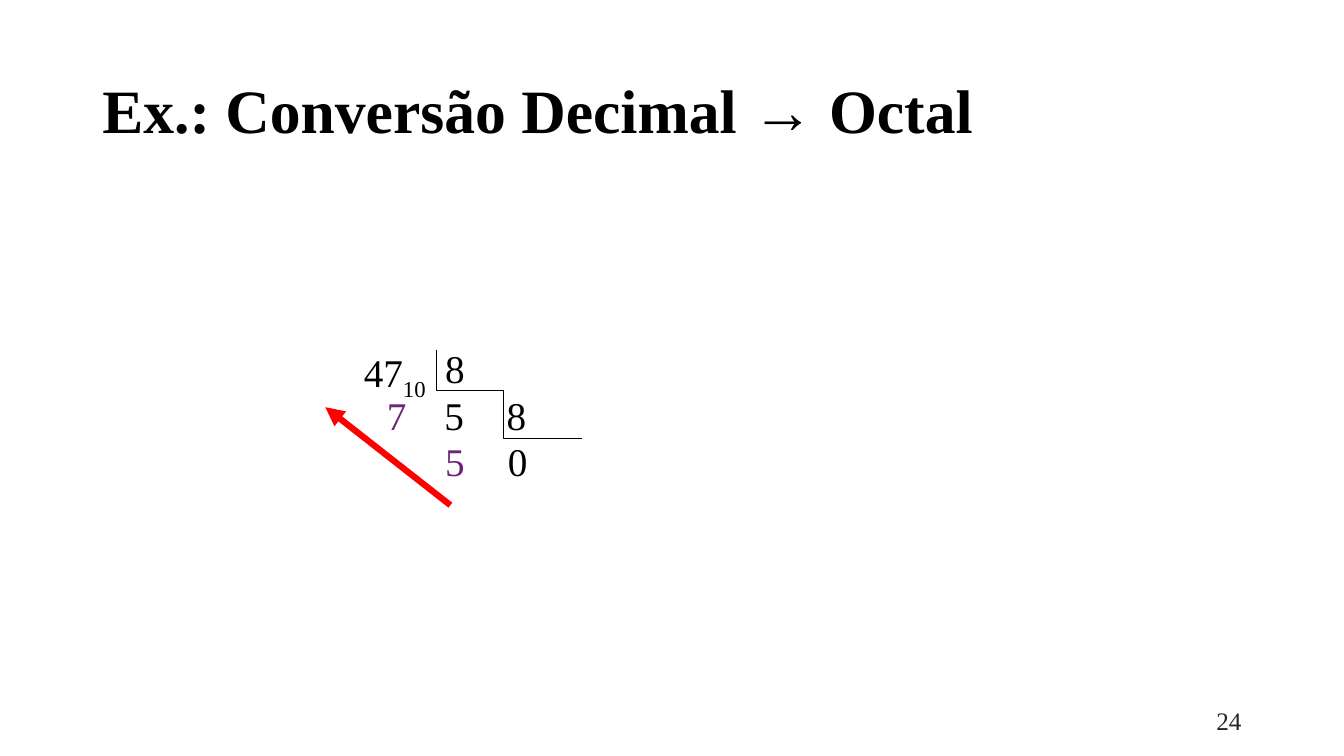
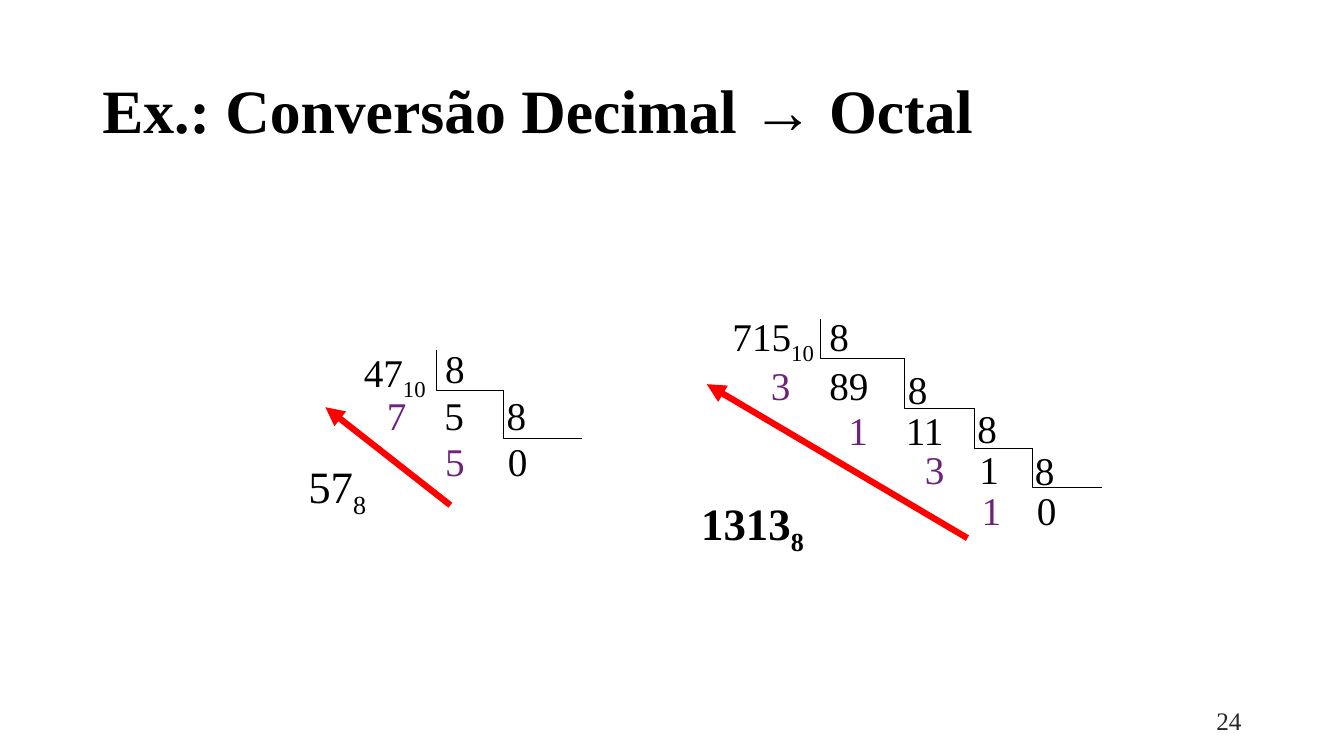
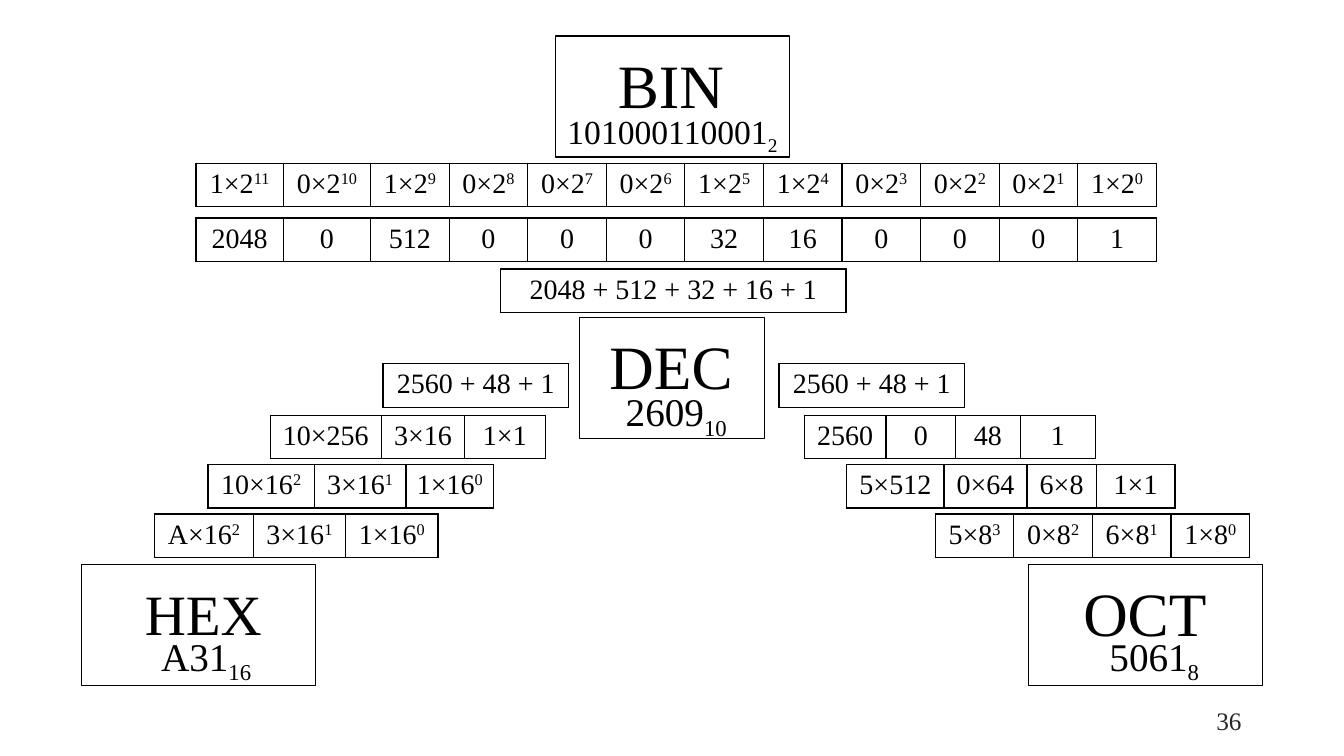
"""Build three slides on converting numbers between decimal, octal, binary and hexadecimal."""
from lxml.etree import SubElement
from pptx import Presentation
from pptx.dml.color import RGBColor
from pptx.enum.shapes import MSO_CONNECTOR as Connector, MSO_SHAPE as Shape
from pptx.enum.text import MSO_ANCHOR as Anchor, PP_ALIGN as Align
from pptx.oxml.ns import qn
from pptx.util import Cm, Pt

FONT = "Times New Roman"
BLACK, GREY, VIOLET, RED = "000000", "262626", "6F227C", "FF0000"
SUBSCRIPT, SUPERSCRIPT = "-25000", "30000"
NO_STYLE = "{2D5ABB26-0587-4C30-8999-92F81FD0307C}"
TITLE = "Ex.: Conversão Decimal → Octal"
ROW_HEIGHT, GAP_HEIGHT = 1.1, 0.28

DIVISIONS = [
    {
        "numbers": [("47|10", 8.92, 8.66), ("8", 10.97, 8.56), ("5", 10.95, 9.73),
                    ("8", 12.52, 9.73), ("0", 12.55, 10.9)],
        "remainders": [("7", 9.5, 9.73), ("5", 10.97, 10.9)],
        "stairs": [(11, 8.81), (12.7, 9.85), (14.68, 11.05)],
        "arrow": [(11.35, 12.73), (8.2, 10.26)],
        "result": ("57|8", 7.52, 11.43, False),
    },
    {
        "numbers": [("715|10", 18.21, 7.75), ("8", 20.65, 7.75), ("89", 20.65, 8.99),
                    ("8", 22.63, 9.07), ("11", 22.58, 10.11), ("8", 24.38, 10.06),
                    ("1", 24.43, 11.1), ("8", 25.83, 11.13), ("0", 25.88, 12.12)],
        "remainders": [("3", 19.18, 8.99), ("1", 21.13, 10.11), ("3", 23.06, 11.1),
                       ("1", 24.49, 12.12)],
        "stairs": [(20.68, 8.05), (22.8, 9.04), (24.56, 10.29), (26.01, 11.3), (27.76, 12.29)],
        "arrow": [(24.38, 13.56), (17.81, 9.68)],
        "result": ("1313|8", 17.42, 12.37, True),
    },
]

BASES = [
    ("BIN", 44, 15.32, "101000110001|2", 24, 14.05, 2.67, 14, 0.91, 5.89),
    ("HEX", 40.7, 3.4, "A31|16", 28, 3.81, 15.8, 2.06, 14.22, 5.89),
    ("OCT", 44, 27.05, "5061|8", 28, 27.71, 15.8, 25.93, 14.22, 5.89),
    ("DEC", 44, 15.11, "2609|10", 28, 15.52, 9.63, 14.61, 8, 4.65),
]

BITS = "101000110001"
POWERS = [f"{bit}×2|{11 - place}" for place, bit in enumerate(BITS)]
VALUES = [str(int(bit) * 2 ** (11 - place)) for place, bit in enumerate(BITS)]
TABLES = [
    (3.9, 12.95, [2.48, 2.33, 2.33], [["A×16|2", "3×16|1", "1×16|0"]]),
    (4.94, 4.11, [2.2] * 2 + [1.98] * 10, [POWERS, [], VALUES]),
    (12.62, 6.78, [8.7], [["2048 + 512 + 32 + 16 + 1"]]),
    (5.24, 11.7, [2.68, 2.31, 2.21], [["10×16|2", "3×16|1", "1×16|0"]]),
    (6.81, 10.46, [2.8, 2.1, 2.03], [["10×256", "3×16", "1×1"]]),
    (9.65, 9.16, [4.68], [["2560 + 48 + 1"]]),
    (23.57, 12.95, [1.98] * 4, [["5×8|3", "0×8|2", "6×8|1", "1×8|0"]]),
    (21.34, 11.7, [2.45, 2.09, 1.75, 1.98], [["5×512", "0×64", "6×8", "1×1"]]),
    (20.27, 10.46, [2.06, 1.75, 1.63, 1.9], [["2560", "0", "48", "1"]]),
    (19.63, 9.16, [4.68], [["2560 + 48 + 1"]]),
]


def write(text_frame, text, size, color=BLACK, shift=SUBSCRIPT, bold=False):
    """Write text whose part after a bar is raised or lowered."""
    paragraph = text_frame.paragraphs[0]
    for position, part in enumerate(text.split("|")):
        run = paragraph.add_run()
        run.text = part
        run.font.name = FONT
        run.font.size = Pt(size)
        run.font.bold = bold
        run.font.color.rgb = RGBColor.from_string(color)
        if position:
            run.font._element.set("baseline", shift)
    return paragraph


def add_text(slide, text, left, top, width, height, size, color=BLACK, bold=False,
             anchor=Anchor.TOP):
    """Add a text box and return its paragraph."""
    text_frame = slide.shapes.add_textbox(Cm(left), Cm(top), Cm(width), Cm(height)).text_frame
    text_frame.word_wrap = True
    text_frame.vertical_anchor = anchor
    return write(text_frame, text, size, color, bold=bold)


presentation = Presentation()
presentation.slide_width, presentation.slide_height = Cm(33.87), Cm(19.05)
blank_layout = presentation.slide_layouts[6]
slides = []
for number in ("24", "24", "36"):
    slide = presentation.slides.add_slide(blank_layout)
    paragraph = add_text(slide, number, 23.92, 17.66, 7.62, 1.01, 18, GREY, anchor=Anchor.MIDDLE)
    paragraph.alignment = Align.RIGHT
    slides.append(slide)

for slide, divisions in zip(slides, (DIVISIONS[:1], DIVISIONS)):
    title = add_text(slide, TITLE, 2.33, 1.02, 29.21, 3.68, 44, bold=True, anchor=Anchor.MIDDLE)
    title.line_spacing = 0.9
    for division in divisions:
        for kind, color in (("numbers", BLACK), ("remainders", VIOLET)):
            for text, left, top in division[kind]:
                add_text(slide, text, left, top, 3, 1.44, 28, color)
        stairs = division["stairs"]
        lines = [(Connector.ELBOW, *step, BLACK, 0.75) for step in zip(stairs, stairs[1:])]
        lines.append((Connector.STRAIGHT, *division["arrow"], RED, 4.5))
        for kind, start, end, color, width in lines:
            connector = slide.shapes.add_connector(kind, *map(Cm, start + end))
            connector.line.color.rgb = RGBColor.from_string(color)
            connector.line.width = Pt(width)
            properties = connector._element.spPr
            if kind == Connector.ELBOW:
                adjustments = properties.find(".//" + qn("a:avLst"))
                SubElement(adjustments, qn("a:gd"), name="adj1", fmla="val 0")
            else:
                SubElement(properties.find(qn("a:ln")), qn("a:tailEnd"), type="triangle")
            SubElement(properties, qn("a:effectLst"))
        if slide is slides[1]:
            text, left, top, bold = division["result"]
            add_text(slide, text, left, top, 3.3, 1.62, 32, bold=bold)

slide = slides[2]
for name, size, name_left, code, code_size, code_left, code_top, left, top, width in BASES:
    heading = add_text(slide, name, name_left, top, 3.8, 2.64, size, anchor=Anchor.MIDDLE)
    heading.line_spacing = 0.9
    add_text(slide, code, code_left, code_top, 6, 1.44, code_size)
    frame = slide.shapes.add_shape(Shape.RECTANGLE, Cm(left), Cm(top), Cm(width), Cm(3.05))
    frame.shadow.inherit = False
    frame.fill.background()
    frame.line.color.rgb = RGBColor.from_string(BLACK)
    frame.line.width = Pt(0.85)

for left, top, widths, rows in TABLES:
    heights = [ROW_HEIGHT if row else GAP_HEIGHT for row in rows]
    graphic = slide.shapes.add_table(len(rows), len(widths), Cm(left), Cm(top),
                                     Cm(sum(widths)), Cm(sum(heights)))
    table = graphic.table
    table.first_row = table.horz_banding = False
    table._tbl.tblPr.find(qn("a:tableStyleId")).text = NO_STYLE
    for column, width in zip(table.columns, widths):
        column.width = Cm(width)
    for row, height, texts in zip(table.rows, heights, rows):
        row.height = Cm(height)
        for position, cell in enumerate(row.cells):
            cell_properties = cell._tc.get_or_add_tcPr()
            for side in "LRTB" if texts else "TB":
                border = SubElement(cell_properties, qn("a:ln" + side), w="12700")
                fill = SubElement(border, qn("a:solidFill"))
                SubElement(fill, qn("a:srgbClr"), val=BLACK)
            cell.fill.background()
            if texts:
                paragraph = write(cell.text_frame, texts[position], 20, shift=SUPERSCRIPT)
                paragraph.alignment = Align.CENTER
            else:
                cell.margin_top = cell.margin_bottom = 0
                SubElement(cell.text_frame.paragraphs[0]._p, qn("a:endParaRPr"), sz="100")

presentation.save("out.pptx")
